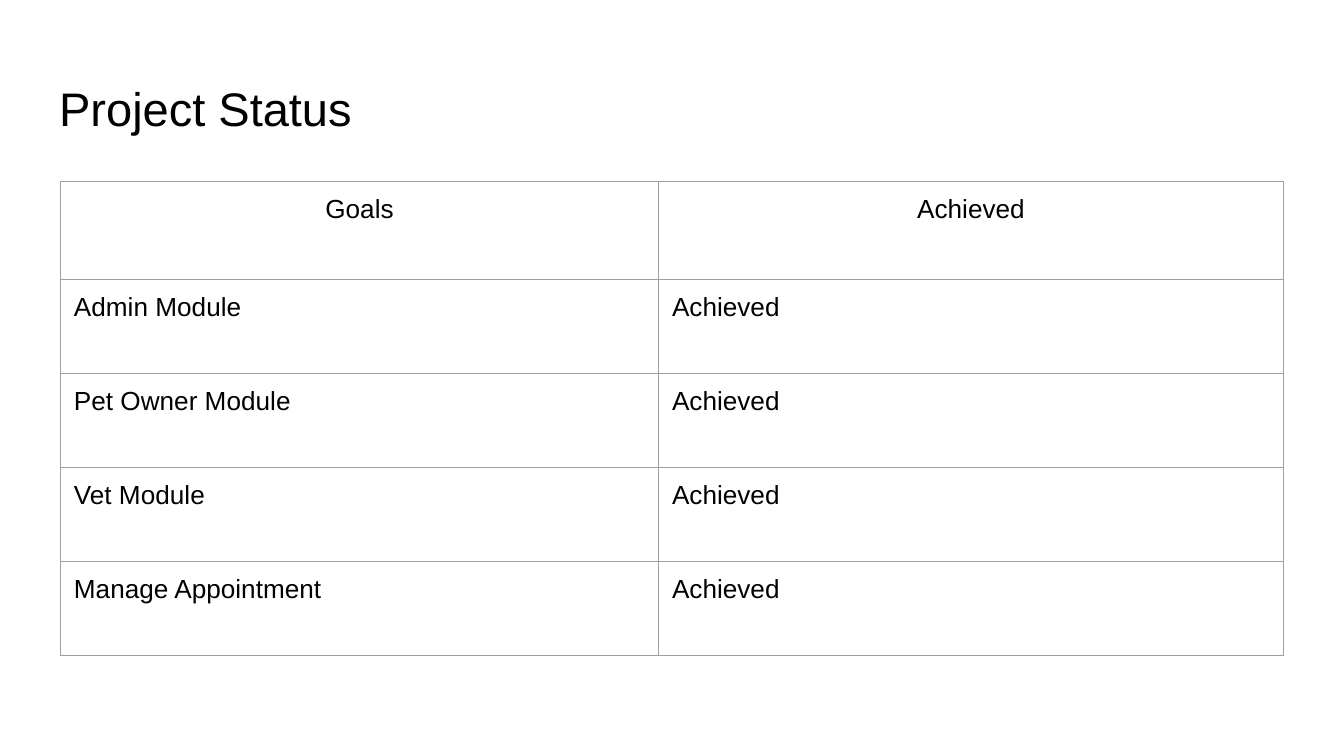
from lxml import etree
from pptx import Presentation
from pptx.dml.color import RGBColor
from pptx.enum import text
from pptx.oxml import ns
from pptx.util import Inches, Pt

# Content
TITLE = "Project Status"
HEADER = ("Goals", "Achieved")
GOALS = [
    ("Admin Module", "Achieved"),
    ("Pet Owner Module", "Achieved"),
    ("Vet Module", "Achieved"),
    ("Manage Appointment", "Achieved"),
]

# Format
FONT = "Arial"
BLACK = RGBColor(0x00, 0x00, 0x00)
WHITE = RGBColor(0xFF, 0xFF, 0xFF)
GREY = RGBColor(0x9E, 0x9E, 0x9E)
MARGIN = Inches(0.1)
COLUMN_WIDTHS = (4.45, 4.65)
ROW_HEIGHTS = [0.73] + [0.7] * len(GOALS)


def write(frame, words, size, align=text.PP_ALIGN.LEFT):
    paragraph = frame.paragraphs[0]
    paragraph.alignment = align
    run = paragraph.add_run()
    run.text = words
    run.font.name = FONT
    run.font.size = Pt(size)
    run.font.color.rgb = BLACK


def set_margins(holder):
    holder.margin_left = holder.margin_right = MARGIN
    holder.margin_top = holder.margin_bottom = MARGIN


def add_borders(cell, color, width):
    properties = cell._tc.get_or_add_tcPr()
    for position, side in enumerate(("a:lnL", "a:lnR", "a:lnT", "a:lnB")):
        line = etree.Element(ns.qn(side), w=str(Pt(width)))
        fill = etree.SubElement(line, ns.qn("a:solidFill"))
        etree.SubElement(fill, ns.qn("a:srgbClr"), val=str(color))
        properties.insert(position, line)


# Widescreen slide, 16:9
prs = Presentation()
prs.slide_width = Inches(10)
prs.slide_height = Inches(10 * 9 / 16)
slide = prs.slides.add_slide(prs.slide_layouts[5])
slide.background.fill.solid()
slide.background.fill.fore_color.rgb = WHITE

# Title
title = slide.shapes.title
title.left, title.top = Inches(0.34), Inches(0.49)
title.width, title.height = Inches(9.32), Inches(0.63)
title_frame = title.text_frame
title_frame.word_wrap = True
title_frame.auto_size = text.MSO_AUTO_SIZE.NONE
title_frame.vertical_anchor = text.MSO_ANCHOR.TOP
set_margins(title_frame)
write(title_frame, TITLE, size=25.2)

# Status table
rows = [HEADER] + GOALS
status = slide.shapes.add_table(
    len(rows), len(HEADER), Inches(0.45), Inches(1.35),
    Inches(sum(COLUMN_WIDTHS)), Inches(sum(ROW_HEIGHTS))).table
status.horz_banding = False
status.first_row = False
for column, width in zip(status.columns, COLUMN_WIDTHS):
    column.width = Inches(width)
for row, height in zip(status.rows, ROW_HEIGHTS):
    row.height = Inches(height)

for r, row in enumerate(rows):
    align = text.PP_ALIGN.CENTER if r == 0 else text.PP_ALIGN.LEFT
    for c, words in enumerate(row):
        cell = status.cell(r, c)
        cell.fill.background()
        cell.vertical_anchor = text.MSO_ANCHOR.TOP
        set_margins(cell)
        add_borders(cell, GREY, 0.75)
        write(cell.text_frame, words, size=14, align=align)

prs.save("out.pptx")
